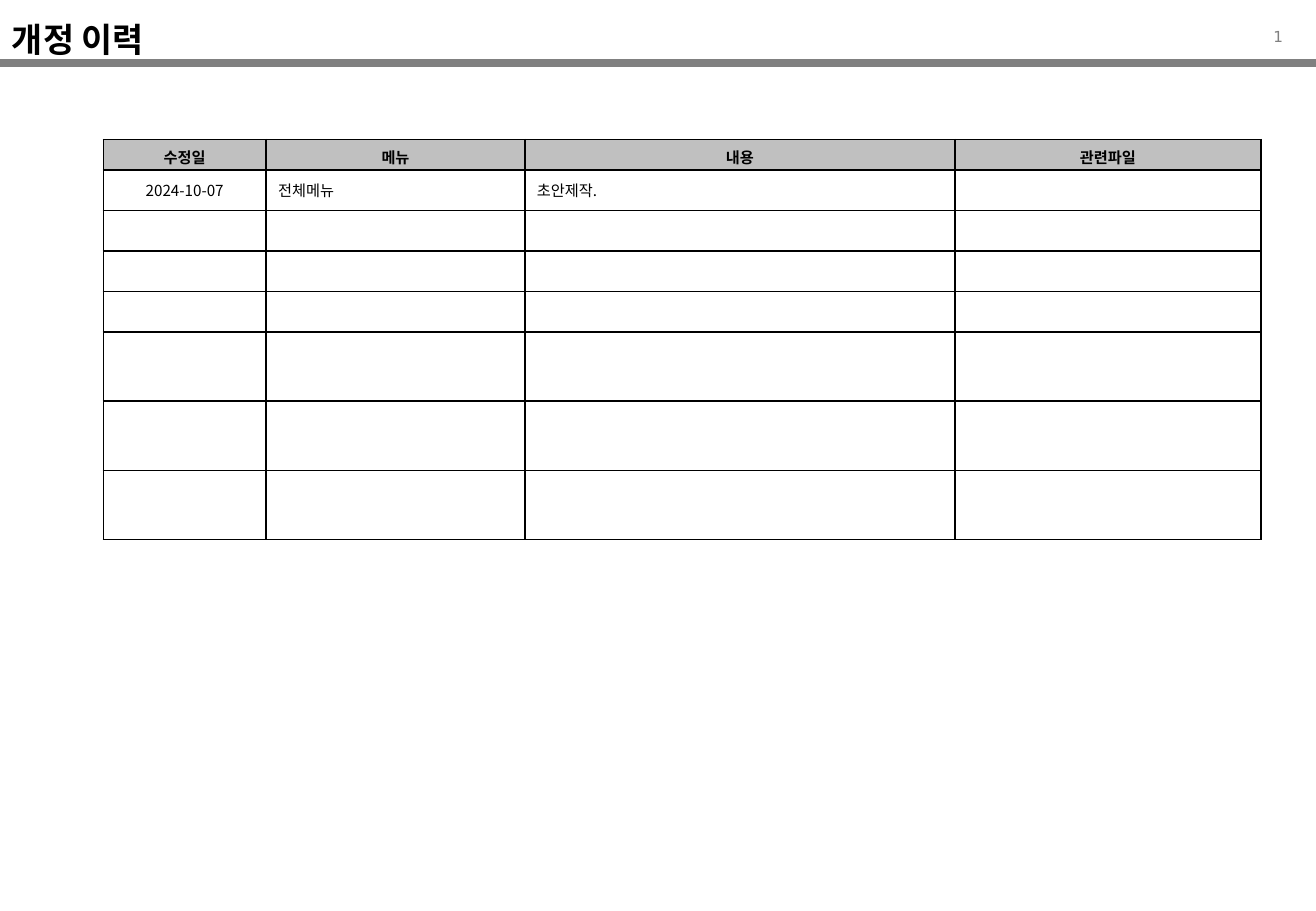
from lxml.etree import SubElement
from pptx import Presentation
from pptx.dml.color import RGBColor
from pptx.enum.text import MSO_ANCHOR as Anchor, PP_ALIGN as Align
from pptx.oxml.ns import qn
from pptx.util import Pt

BLACK = RGBColor(0x00, 0x00, 0x00)
GRAY = RGBColor(0x80, 0x80, 0x80)
SILVER = RGBColor(0xC0, 0xC0, 0xC0)
WHITE = RGBColor(0xFF, 0xFF, 0xFF)

HEADINGS = ["수정일", "메뉴", "내용", "관련파일"]
FIRST_REVISION = ["2024-10-07", "전체메뉴", "초안제작.", ""]
COLUMN_WIDTHS = [96.5, 153.4, 254.9, 181.4]
ROW_HEIGHTS = [18] + [24] * 4 + [41] * 3


class RevisionSlide:
    """Draws the revision history slide in one shared style."""

    korean_font = "Noto Sans CJK KR"
    number_font = "DejaVu Sans"
    body_size = 9

    def __init__(self, deck):
        self.slide = deck.slides.add_slide(deck.slide_layouts[6])

    def set_text(self, paragraph, text, size, color=BLACK, bold=False, font=korean_font):
        paragraph.text = text
        for run in paragraph.runs:
            run.font.size = Pt(size)
            run.font.bold = bold
            run.font.name = font
            run.font.color.rgb = color
            SubElement(run.font._element, qn("a:ea"), typeface=font)
        if not text:
            SubElement(paragraph._p, qn("a:endParaRPr"), sz=str(size * 100))

    def label(self, left, top, width, height, text, size, anchor=Anchor.TOP,
              align=Align.LEFT, spacing=1.0, **style):
        frame = self.slide.shapes.add_textbox(
            Pt(left), Pt(top), Pt(width), Pt(height)).text_frame
        frame.word_wrap = True
        frame.vertical_anchor = anchor
        paragraph = frame.paragraphs[0]
        paragraph.alignment = align
        paragraph.line_spacing = spacing
        self.set_text(paragraph, text, size, **style)

    def rule(self, top, width, weight):
        divider = self.slide.shapes.add_connector(1, Pt(0), Pt(top), Pt(width), Pt(top))
        divider.line.color.rgb = GRAY
        divider.line.width = Pt(weight)
        SubElement(divider._element.spPr, qn("a:effectLst"))

    def border(self, cell):
        properties = cell._tc.get_or_add_tcPr()
        for position, side in enumerate(("lnL", "lnR", "lnT", "lnB")):
            edge = SubElement(properties, qn(f"a:{side}"), w=str(Pt(1)))
            fill = SubElement(edge, qn("a:solidFill"))
            SubElement(fill, qn("a:srgbClr"), val=str(BLACK))
            properties.insert(position, edge)

    def history(self, left, top, widths, heights, entries):
        table = self.slide.shapes.add_table(
            len(heights), len(widths), Pt(left), Pt(top),
            Pt(sum(widths)), Pt(sum(heights))).table
        table.horz_banding = False
        for column, width in zip(table.columns, widths):
            column.width = Pt(width)
        for row_index, height in enumerate(heights):
            table.rows[row_index].height = Pt(height)
            heading = row_index == 0
            texts = entries[row_index] if row_index < len(entries) else [""] * len(widths)
            for column_index, text in enumerate(texts):
                cell = table.cell(row_index, column_index)
                cell.vertical_anchor = Anchor.MIDDLE
                cell.fill.solid()
                cell.fill.fore_color.rgb = SILVER if heading else WHITE
                self.border(cell)
                paragraph = cell.text_frame.paragraphs[0]
                centered = heading or column_index == 0
                paragraph.alignment = Align.CENTER if centered else Align.LEFT
                self.set_text(paragraph, text, self.body_size, bold=heading)


def main():
    deck = Presentation()
    deck.slide_width, deck.slide_height = Pt(780), Pt(540)
    page = RevisionSlide(deck)
    page.label(730, 9.4, 37.5, 21.6, "1", 9, align=Align.RIGHT, spacing=1.3,
               color=GRAY, font=page.number_font)
    page.rule(37.4, 780, 4.5)
    page.label(0, 15.1, 209.5, 15.8, "개정 이력", 20, anchor=Anchor.MIDDLE, bold=True)
    page.history(61.2, 82.8, COLUMN_WIDTHS, ROW_HEIGHTS, [HEADINGS, FIRST_REVISION])
    deck.save("out.pptx")


if __name__ == "__main__":
    main()
